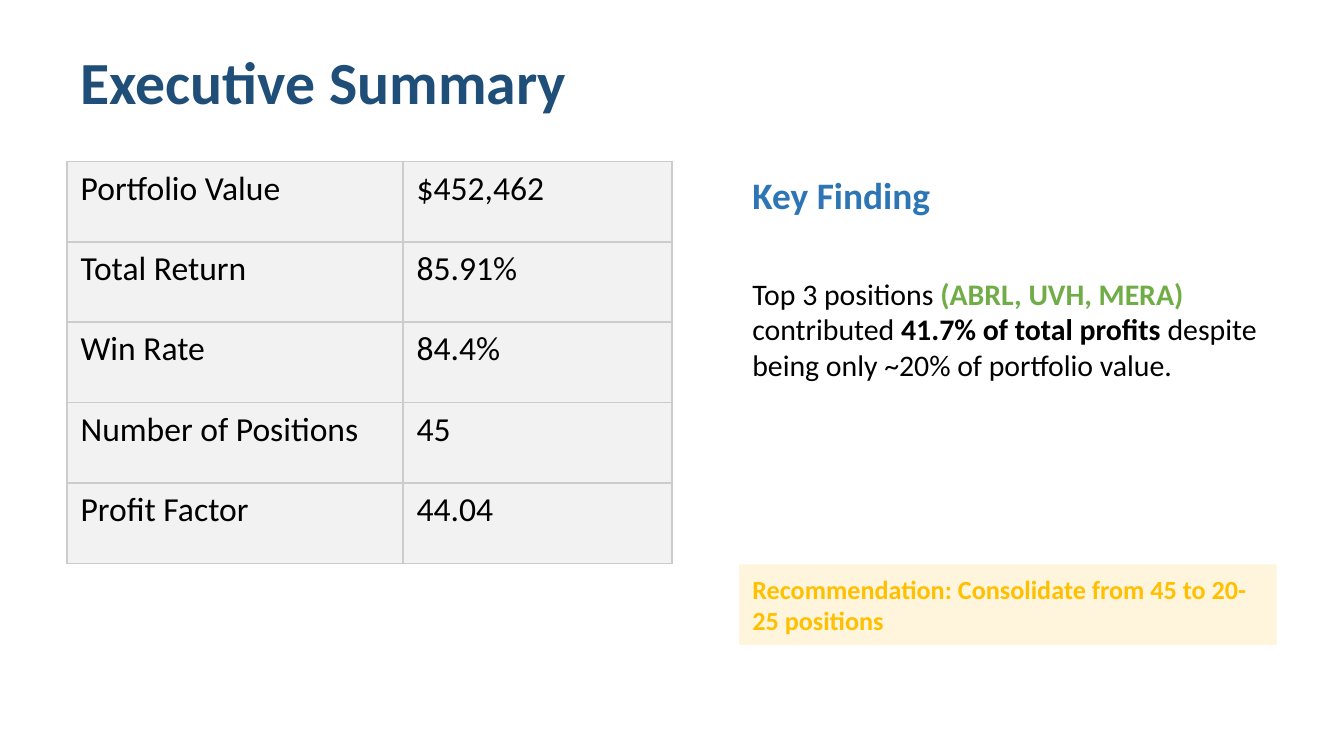
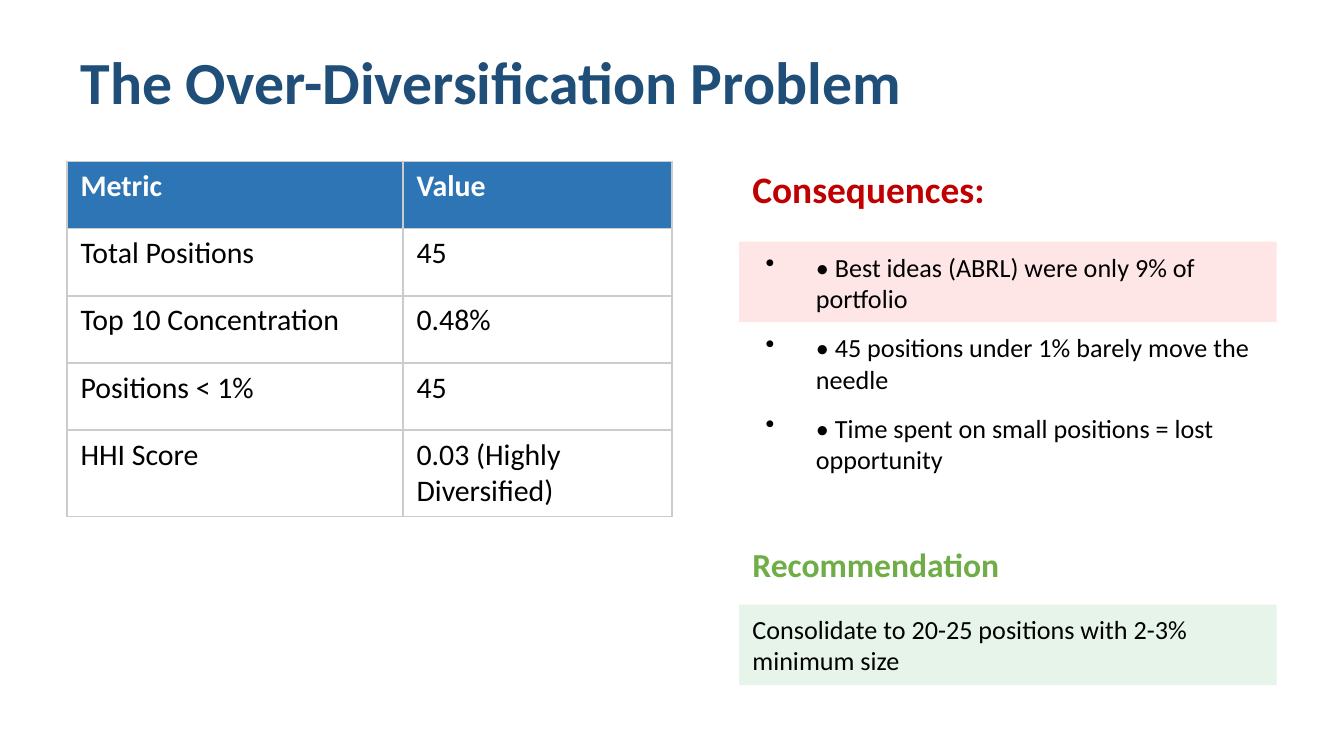
from lxml.etree import SubElement
from pptx import Presentation
from pptx.dml.color import RGBColor
from pptx.enum.shapes import MSO_SHAPE
from pptx.enum.text import MSO_ANCHOR, MSO_AUTO_SIZE, PP_ALIGN
from pptx.oxml import parse_xml
from pptx.oxml.ns import nsdecls, qn
from pptx.util import Cm, Pt

FONT = "Calibri"
NAVY = RGBColor(0x1F, 0x4E, 0x78)
BLUE = RGBColor(0x2E, 0x75, 0xB5)
GREEN = RGBColor(0x70, 0xAD, 0x47)
AMBER = RGBColor(0xFF, 0xC0, 0x00)
RED = RGBColor(0xC0, 0x00, 0x00)
BLACK = RGBColor(0x00, 0x00, 0x00)
WHITE = RGBColor(0xFF, 0xFF, 0xFF)
GREY = RGBColor(0xF2, 0xF2, 0xF2)
BORDER = RGBColor(0xCC, 0xCC, 0xCC)
PALE_AMBER = RGBColor(0xFF, 0xF4, 0xDC)
PALE_RED = RGBColor(0xFF, 0xE6, 0xE6)
PALE_GREEN = RGBColor(0xE6, 0xF4, 0xEA)

MARGIN, TABLE_TOP = Cm(1.27), Cm(3.05)
RIGHT_COLUMN, RIGHT_WIDTH = Cm(13.97), Cm(10.16)
BAND_HEIGHT, LINE_HEIGHT = Cm(1.52), Cm(1.02)
COLUMN_WIDTHS = [Cm(6.35), Cm(5.08)]


def write(paragraph, size, *parts):
    paragraph.alignment = PP_ALIGN.LEFT
    for text, colour, bold in parts:
        run = paragraph.add_run()
        run.text = text
        run.font.name = FONT
        run.font.size = Pt(size)
        run.font.bold = bold
        run.font.color.rgb = colour


def add_area(slide, left, top, width, height, fill=None):
    if fill is None:
        area = slide.shapes.add_textbox(left, top, width, height)
    else:
        area = slide.shapes.add_shape(MSO_SHAPE.RECTANGLE, left, top, width, height)
        area.shadow.inherit = False
        area.fill.solid()
        area.fill.fore_color.rgb = fill
        area.line.fill.background()
    area.text_frame.word_wrap = True
    area.text_frame.vertical_anchor = MSO_ANCHOR.MIDDLE
    return area.text_frame


deck = Presentation()
deck.slide_width, deck.slide_height = Cm(25.4), Cm(14.29)

summary_rows = [
    ("Portfolio Value", "$452,462"),
    ("Total Return", "85.91%"),
    ("Win Rate", "84.4%"),
    ("Number of Positions", "45"),
    ("Profit Factor", "44.04"),
]
problem_rows = [
    ("Metric", "Value"),
    ("Total Positions", "45"),
    ("Top 10 Concentration", "0.48%"),
    ("Positions < 1%", "45"),
    ("HHI Score", "0.03 (Highly Diversified)"),
]
pages = [
    ("Executive Summary", summary_rows, 18, Cm(1.52), False, GREY),
    ("The Over-Diversification Problem", problem_rows, 16, Cm(1.27), True, None),
]

slides = []
for heading, rows, size, row_height, has_header, body_fill in pages:
    slide = deck.slides.add_slide(deck.slide_layouts[5])
    slides.append(slide)
    slide.background.fill.solid()
    slide.background.fill.fore_color.rgb = WHITE

    title = slide.shapes.title
    title.left, title.top, title.width, title.height = MARGIN, Cm(0.76), Cm(22.86), BAND_HEIGHT
    title.text_frame.word_wrap = True
    title.text_frame.auto_size = MSO_AUTO_SIZE.NONE
    title.text_frame.vertical_anchor = MSO_ANCHOR.MIDDLE
    write(title.text_frame.paragraphs[0], 32, (heading, NAVY, True))

    metrics = slide.shapes.add_table(
        len(rows), 2, MARGIN, TABLE_TOP, sum(COLUMN_WIDTHS), row_height * len(rows)
    ).table
    metrics.first_row = has_header
    metrics.horz_banding = False
    for column, width in zip(metrics.columns, COLUMN_WIDTHS):
        column.width = width
    for row_index, values in enumerate(rows):
        metrics.rows[row_index].height = row_height
        is_header = has_header and row_index == 0
        fill = BLUE if is_header else body_fill
        for column_index, value in enumerate(values):
            cell = metrics.cell(row_index, column_index)
            write(cell.text_frame.paragraphs[0], size,
                  (value, WHITE if is_header else BLACK, is_header))
            for side in ("lnL", "lnR", "lnT", "lnB"):
                cell._tc.get_or_add_tcPr().append(parse_xml(
                    f'<a:{side} {nsdecls("a")} w="{Pt(1)}"><a:solidFill>'
                    f'<a:srgbClr val="{BORDER}"/></a:solidFill></a:{side}>'))
            if fill is None:
                cell.fill.background()
            else:
                cell.fill.solid()
                cell.fill.fore_color.rgb = fill

summary, problem = slides

key_finding = add_area(summary, RIGHT_COLUMN, TABLE_TOP, RIGHT_WIDTH, Cm(1.27))
write(key_finding.paragraphs[0], 20, ("Key Finding", BLUE, True))

finding = add_area(summary, RIGHT_COLUMN, Cm(5.08), RIGHT_WIDTH, Cm(5.08))
finding.vertical_anchor = MSO_ANCHOR.TOP
write(finding.paragraphs[0], 16,
      ("Top 3 positions ", BLACK, False),
      ("(ABRL, UVH, MERA) ", GREEN, True),
      ("contributed ", BLACK, False),
      ("41.7% of total profits", BLACK, True),
      (" despite being only ~20% of portfolio value.", BLACK, False))

advice = add_area(summary, RIGHT_COLUMN, Cm(10.67), RIGHT_WIDTH, BAND_HEIGHT, PALE_AMBER)
write(advice.paragraphs[0], 14,
      ("Recommendation: Consolidate from 45 to 20-25 positions", AMBER, True))

consequences = add_area(problem, RIGHT_COLUMN, TABLE_TOP, RIGHT_WIDTH, LINE_HEIGHT)
write(consequences.paragraphs[0], 20, ("Consequences:", RED, True))

add_area(problem, RIGHT_COLUMN, Cm(4.57), RIGHT_WIDTH, BAND_HEIGHT, PALE_RED)
for index, consequence in enumerate([
    "• Best ideas (ABRL) were only 9% of portfolio",
    "• 45 positions under 1% barely move the needle",
    "• Time spent on small positions = lost opportunity",
]):
    point = add_area(problem, Cm(14.22), Cm(4.83) + index * BAND_HEIGHT,
                     Cm(9.65), LINE_HEIGHT).paragraphs[0]
    write(point, 14, (consequence, BLACK, False))
    properties = point._p.get_or_add_pPr()
    properties.set("marL", str(Cm(0.95)))
    properties.set("indent", str(-Cm(0.95)))
    SubElement(properties, qn("a:buChar")).set("char", "•")

recommendation = add_area(problem, RIGHT_COLUMN, Cm(10.16), RIGHT_WIDTH, LINE_HEIGHT)
write(recommendation.paragraphs[0], 18, ("Recommendation", GREEN, True))

target = add_area(problem, RIGHT_COLUMN, Cm(11.43), RIGHT_WIDTH, BAND_HEIGHT, PALE_GREEN)
write(target.paragraphs[0], 14,
      ("Consolidate to 20-25 positions with 2-3% minimum size", BLACK, False))

deck.save("out.pptx")
